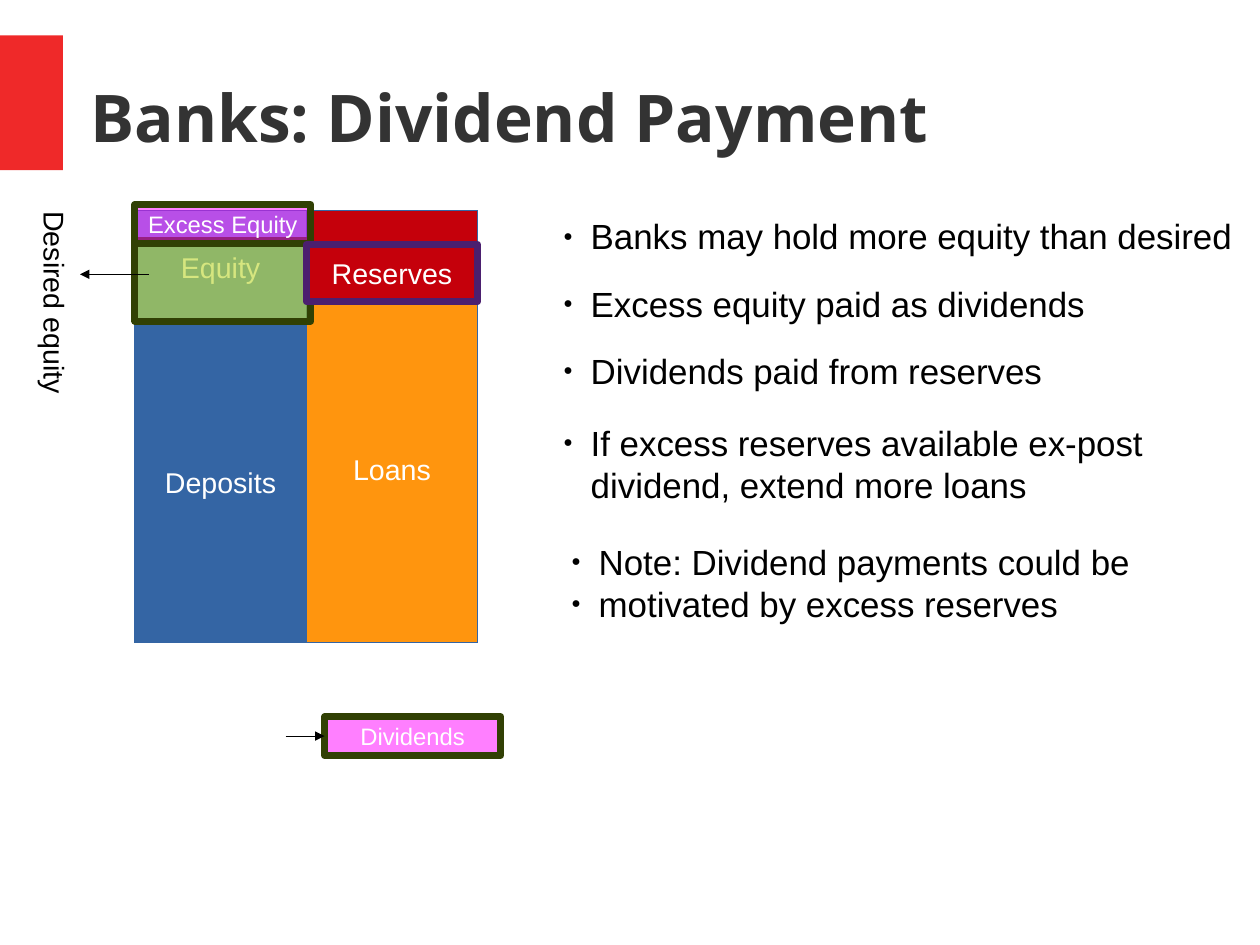
import lxml.etree
import pptx
import pptx.dml.color
import pptx.enum.shapes
import pptx.enum.text
import pptx.oxml.ns
import pptx.util

Inches = pptx.util.Inches
Pt = pptx.util.Pt
qn = pptx.oxml.ns.qn

CM_PER_INCH = 2.54
BLUE = "3465A4"
RED = "C5000B"
OLIVE = "314004"
MAGENTA = "FF00FF"
WHITE = "FFFFFF"
LEFT_COLUMN, RIGHT_COLUMN, COLUMN_WIDTH = 1.18, 2.68, 1.5
FRAME_WIDTH = 1.54
THICK = 4.31


def color(hex_value):
    return pptx.dml.color.RGBColor.from_string(hex_value)


def add_element(parent, tag, **attributes):
    return lxml.etree.SubElement(parent, qn(tag), attributes)


def add_bullet(paragraph):
    properties = paragraph._p.get_or_add_pPr()
    properties.set("marL", str(Inches(0.24)))
    properties.set("indent", str(-Inches(0.24)))
    bullet_color = add_element(properties, "a:buClr")
    add_element(bullet_color, "a:srgbClr", val="000000")
    add_element(properties, "a:buSzPct", val="45000")
    add_element(properties, "a:buFont", typeface="Arial")
    add_element(properties, "a:buChar", char="●")


def write_text(frame, text, size=18, font="Arial", fill="000000", bold=False,
               align="LEFT", anchor="TOP", wrap=True, bullet=False, margins=(0.1, 0.05)):
    frame.auto_size = pptx.enum.text.MSO_AUTO_SIZE.NONE
    frame.word_wrap = wrap
    frame.vertical_anchor = getattr(pptx.enum.text.MSO_ANCHOR, anchor)
    frame.margin_left = frame.margin_right = Inches(margins[0])
    frame.margin_top = frame.margin_bottom = Inches(margins[1])
    for index, line in enumerate(text.split("\n")):
        paragraph = frame.add_paragraph() if index else frame.paragraphs[0]
        paragraph.alignment = getattr(pptx.enum.text.PP_ALIGN, align)
        if bullet:
            add_bullet(paragraph)
        run = paragraph.add_run()
        run.text = line
        run.font.size = Pt(size)
        run.font.name = font
        run.font.bold = bold
        run.font.color.rgb = color(fill)


def draw_line(line, fill, width=0):
    line.color.rgb = color(fill)
    outline = line._get_or_add_ln()
    outline.set("w", str(Pt(width)))
    return outline


def add_block(slide, left, top, width, height, fill, line=None, line_width=0,
              opacity=None, text=None, size=18):
    block = slide.shapes.add_shape(
        pptx.enum.shapes.MSO_SHAPE.RECTANGLE,
        Inches(left), Inches(top), Inches(width), Inches(height))
    block.shadow.inherit = False
    block.fill.solid()
    block.fill.fore_color.rgb = color(fill)
    if opacity:
        fill_color = block._element.spPr.find(qn("a:solidFill")).find(qn("a:srgbClr"))
        add_element(fill_color, "a:alpha", val=str(opacity * 1000))
    if line:
        draw_line(block.line, line, line_width)
    else:
        block.line.fill.background()
    if text:
        write_text(block.text_frame, text, size=size, fill=WHITE, align="CENTER",
                   anchor="MIDDLE", wrap=False,
                   margins=(0.13, 0.08) if line_width else (0.1, 0.05))


def add_note(slide, left, top, width, height, text, rotation=0, **text_format):
    note = slide.shapes.add_textbox(
        Inches(left), Inches(top), Inches(width), Inches(height))
    note.rotation = rotation
    write_text(note.text_frame, text, **text_format)


def add_arrow(slide, start, end, height):
    arrow = slide.shapes.add_connector(
        pptx.enum.shapes.MSO_CONNECTOR.STRAIGHT,
        Inches(start), Inches(height), Inches(end), Inches(height))
    add_element(draw_line(arrow.line, "000000"), "a:tailEnd", type="triangle")
    add_element(arrow._element.spPr, "a:effectLst")


def add_title(slide, text):
    title = slide.shapes.title
    title.left, title.top = Inches(0.79), Inches(0.33)
    title.width, title.height = Inches(9.68), Inches(1.38)
    write_text(title.text_frame, text, size=41.4, font="Open Sans", fill="333333",
               bold=True, anchor="MIDDLE", margins=(0, 0))


def add_balance_sheet(slide):
    for left, top, height, fill, text in (
        (LEFT_COLUMN, 1.84, 1, "729FCF", "Equity"),
        (LEFT_COLUMN, 2.82, 2.8, BLUE, "Deposits"),
        (RIGHT_COLUMN, 2.59, 3.03, "FF950E", "Loans"),
        (RIGHT_COLUMN, 1.84, 0.77, RED, "Reserves"),
    ):
        add_block(slide, left, top, COLUMN_WIDTH, height, fill, line=BLUE, text=text)


def add_highlights(slide):
    add_block(slide, LEFT_COLUMN, 2.1, FRAME_WIDTH, 0.71, "AECF00", line=OLIVE,
              line_width=THICK, opacity=50)
    add_note(slide, -0.61, 2.66, 2.2, 0.38, "Desired equity", rotation=90)
    add_arrow(slide, 1.3, 0.7, 2.4)
    for left, top, text in ((LEFT_COLUMN, 1.79, "Excess Equity"),
                            (2.84, 6.27, "Dividends")):
        add_block(slide, left, top, FRAME_WIDTH, 0.34, MAGENTA, line=OLIVE,
                  line_width=THICK, opacity=50, text=text, size=15)
    add_arrow(slide, 2.5, 2.84, 6.44)
    add_block(slide, RIGHT_COLUMN, 2.14, COLUMN_WIDTH, 0.5, RED, line="4B1F6F",
              line_width=THICK, text="Reserves")


def add_points(slide):
    for left, top, height, text in (
        (4.83, 1.83, 0.49, "Banks may hold more equity than desired"),
        (4.83, 2.42, 0.49, "Excess equity paid as dividends"),
        (4.83, 3.01, 0.49, "Dividends paid from reserves"),
        (4.83, 3.64, 0.78,
         "If excess reserves available ex-post dividend, extend more loans"),
        (4.9, 4.68, 0.78,
         "Note: Dividend payments could be\nmotivated by excess reserves"),
    ):
        add_note(slide, left, top, 6.2, height, text, size=22, bullet=True)


def main():
    presentation = pptx.Presentation()
    presentation.slide_width = Inches(28 / CM_PER_INCH)
    presentation.slide_height = Inches(21 / CM_PER_INCH)
    slide = presentation.slides.add_slide(presentation.slide_layouts[5])
    add_block(slide, 0, 0.31, 0.55, 1.18, "EF2929")
    add_title(slide, "Banks: Dividend Payment")
    add_balance_sheet(slide)
    add_highlights(slide)
    add_points(slide)
    presentation.save("out.pptx")


if __name__ == "__main__":
    main()
